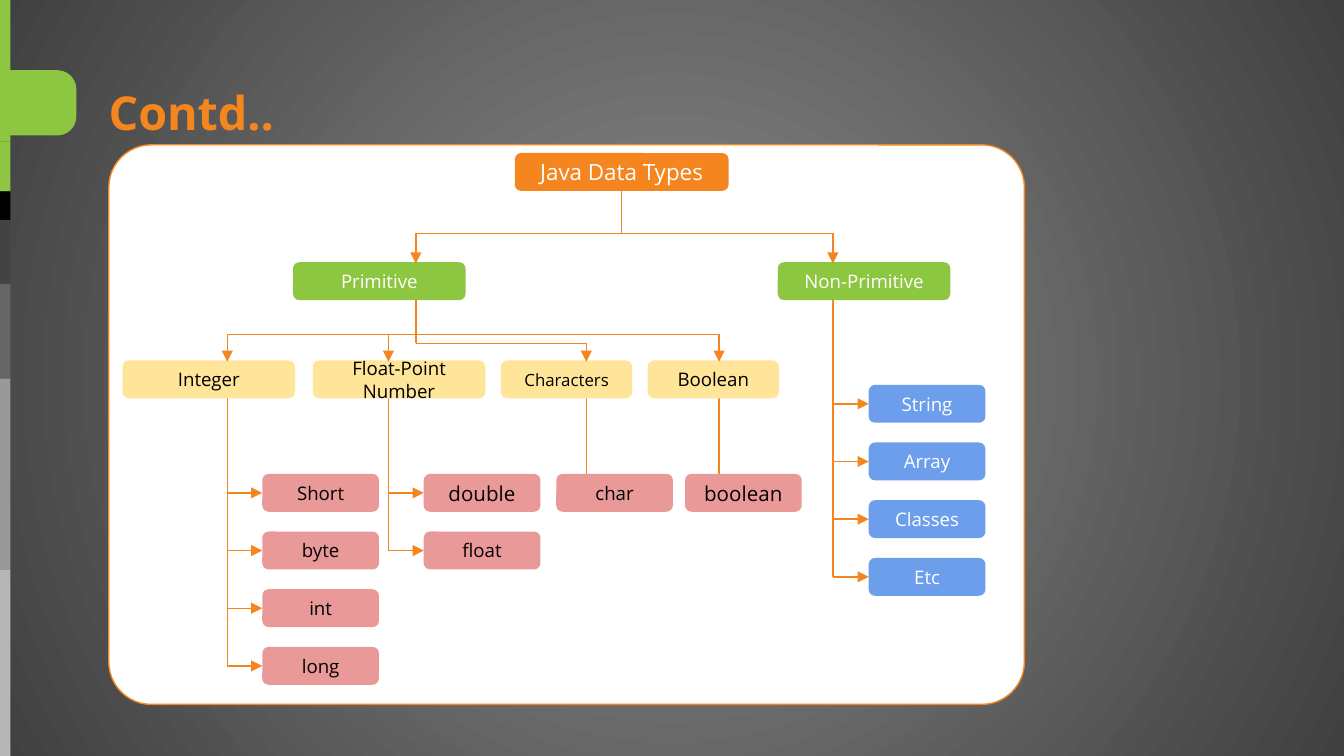
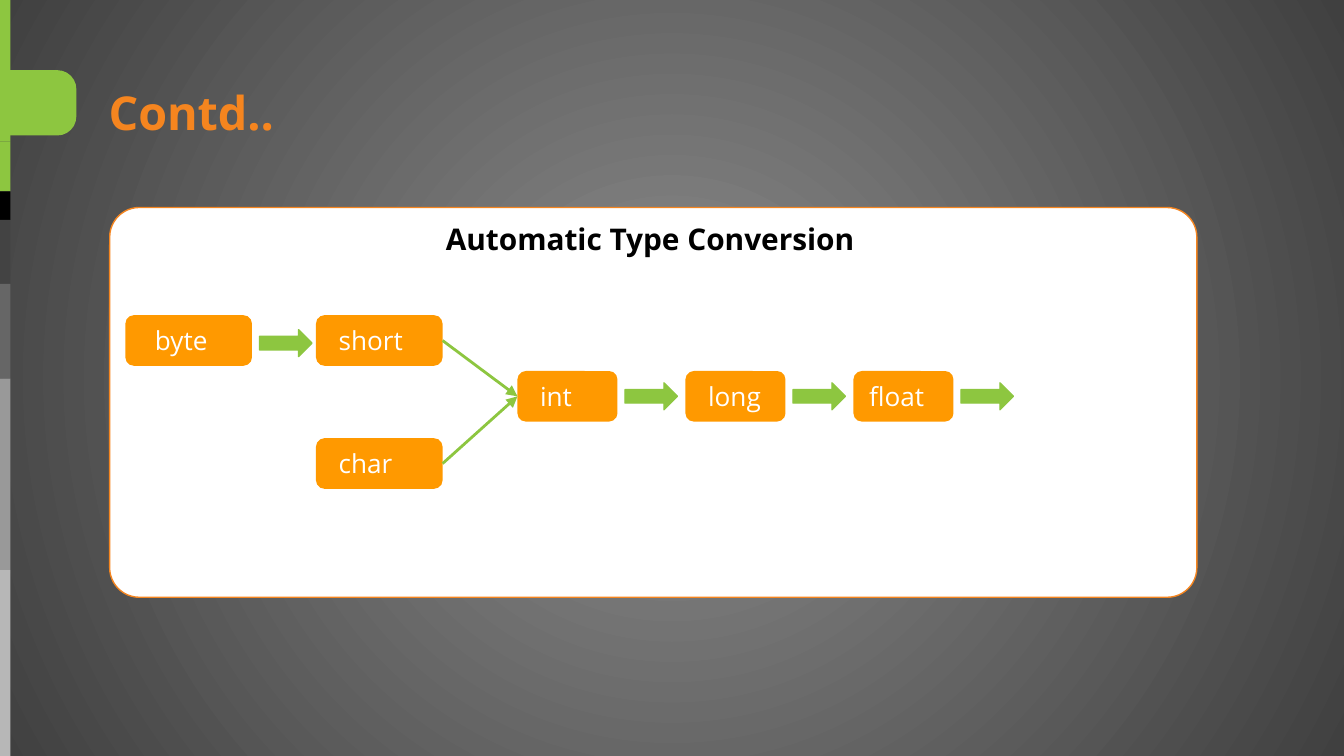
"""Builds two slides on Java data types and automatic type conversion."""
import dataclasses
import itertools
import typing

import lxml.etree
import pptx
import pptx.dml.color
import pptx.enum.shapes
import pptx.enum.text
import pptx.oxml.ns
import pptx.presentation
import pptx.shapes.autoshape
import pptx.slide
import pptx.util

Pt = pptx.util.Pt
RGB = pptx.dml.color.RGBColor.from_string
qn = pptx.oxml.ns.qn
SHAPE = pptx.enum.shapes.MSO_SHAPE
ALIGN = pptx.enum.text.PP_ALIGN
ANCHOR = pptx.enum.text.MSO_ANCHOR
AUTO = pptx.enum.text.MSO_AUTO_SIZE


@dataclasses.dataclass(frozen=True)
class Theme:
    font: str = "Open Sans"
    orange: str = "F5851F"
    amber: str = "FF9900"
    green: str = "8DC640"
    yellow: str = "FFE599"
    pink: str = "EA9999"
    blue: str = "6D9EEB"
    white: str = "FFFFFF"
    black: str = "000000"
    glow: tuple[str, str] = ("8C8C8C", "404040")
    bands: tuple[str, ...] = ("8DC640", "8DC640", "000000", "434343", "666666", "999999", "B7B7B7")
    title: float = 25
    heading: float = 16
    chain: float = 14
    root: float = 12
    large: float = 11
    body: float = 10
    small: float = 9
    hairline: float = 0.75
    stroke: float = 1.5


T = Theme()


class Box(typing.NamedTuple):
    x: float
    y: float
    w: float
    h: float


class Node(typing.NamedTuple):
    text: str
    box: Box
    fill: str
    color: str = T.white
    size: float = T.body
    align: ALIGN = ALIGN.CENTER
    indent: float = 0


class Leaf(typing.NamedTuple):
    text: str
    size: float = T.body


class Branch(typing.NamedTuple):
    node: Node
    stem_x: float
    rail_y: float
    leaf_x: float
    leaf_y: float
    leaf_fill: str
    leaf_color: str
    leaves: tuple[Leaf, ...]
    side_arrows: bool = True


SLIDE_W, SLIDE_H = 720, 405
BAND_W = 5.6
BAND_EDGES = (0, 75.7, 102.6, 117.8, 152.1, 202.9, 305.4, SLIDE_H)
INSET = 7.2

NODE_H = 20.3
LEAF_W, LEAF_PITCH = 62.5, 30.9
CATEGORY_Y, GROUP_Y, ROOT_Y = 193.1, 140.5, 82
GROUP_RAIL_Y, CATEGORY_RAIL_Y, CHARACTER_RAIL_Y = 125, 179.2, 184
PRIMITIVE_X, OBJECT_X = 222.8, 446.2

ROOT = Node("Java Data Types", Box(275.8, ROOT_Y, 114.5, NODE_H), T.orange, size=T.root)
PRIMITIVE = Node("Primitive", Box(157, GROUP_Y, 92.4, NODE_H), T.green)


def category(text: str, x: float, w: float, size: float = T.body) -> Node:
    """Return a node of the primitive category row."""
    return Node(text, Box(x, CATEGORY_Y, w, NODE_H), T.yellow, T.black, size)


OBJECTS = Branch(Node("Non-Primitive", Box(416.7, GROUP_Y, 92.4, NODE_H), T.green), OBJECT_X,
                 GROUP_RAIL_Y, 465.4, 206.2, T.blue, T.white,
                 (Leaf("String"), Leaf("Array"), Leaf("Classes"), Leaf("Etc")))
LEAF_STYLE = (253.9, T.pink, T.black)
CATEGORIES = (
    Branch(category("Integer", 65.7, 92.4), 121.8, CATEGORY_RAIL_Y, 140.5, *LEAF_STYLE,
           (Leaf("Short"), Leaf("byte"), Leaf("int"), Leaf("long"))),
    Branch(category("Float-Point Number", 167.6, 92.4), 208.1, CATEGORY_RAIL_Y, 227, *LEAF_STYLE,
           (Leaf("double", T.large), Leaf("float"))),
    Branch(category("Characters", 268.4, 70.3, T.small), 314.1, CHARACTER_RAIL_Y, 298, *LEAF_STYLE,
           (Leaf("char"),), False),
    Branch(category("Boolean", 347, 70.3), 385.2, CATEGORY_RAIL_Y, 367, *LEAF_STYLE,
           (Leaf("boolean", T.large),), False),
)

CHAIN_H, CHAIN_Y, BYTE_Y, CHAR_Y = 27.1, 198.8, 168.9, 234.8
WIDE_W, NARROW_W = 67.8, 53.6
CHAIN_X, CHAIN_PITCH = 277.2, 90
SPACE = 3.64
ARROW_GAP, ARROW_W, ARROW_H = 4, 28.1, 14.4


def assign(obj: typing.Any, values: dict[str, typing.Any]) -> None:
    """Set each named attribute on an object."""
    for name, value in values.items():
        setattr(obj, name, value)


def add_shape(s: pptx.slide.Slide, kind: SHAPE, box: Box, fill: str, line: str | None = None,
              adj: tuple[float, ...] = ()) -> pptx.shapes.autoshape.Shape:
    """Draw a flat preset shape."""
    sp = s.shapes.add_shape(kind, *map(Pt, box))
    sp.shadow.inherit = False
    sp.fill.solid()
    sp.fill.fore_color.rgb = RGB(fill)
    if line:
        sp.line.color.rgb = RGB(line)
        sp.line.width = Pt(T.hairline)
    else:
        sp.line.fill.background()
    for i, value in enumerate(adj):
        sp.adjustments[i] = value
    return sp


def write(sp: pptx.shapes.autoshape.Shape, text: str, size: float, color: str, bold: bool = False,
          indent: float = 0, frame: dict[str, typing.Any] | None = None,
          para: dict[str, typing.Any] | None = None) -> None:
    """Put one formatted paragraph into a shape."""
    tf = sp.text_frame
    sides = {f"margin_{side}": Pt(INSET) for side in ("left", "top", "right", "bottom")}
    assign(tf, {"word_wrap": True, **sides, "margin_left": Pt(INSET + indent), **(frame or {})})
    p = tf.paragraphs[0]
    assign(p, para or {})
    r = p.add_run()
    r.text = text
    assign(r.font, {"name": T.font, "size": Pt(size), "bold": bold})
    r.font.color.rgb = RGB(color)


def add_label(s: pptx.slide.Slide, text: str, box: Box, size: float, color: str,
              para: dict[str, typing.Any] | None = None) -> None:
    """Draw a bold text box that grows with its text."""
    sp = s.shapes.add_textbox(*map(Pt, box))
    write(sp, text, size, color, bold=True, frame={"auto_size": AUTO.SHAPE_TO_FIT_TEXT}, para=para)


def add_node(s: pptx.slide.Slide, node: Node) -> None:
    """Draw a rounded box with its caption."""
    sp = add_shape(s, SHAPE.ROUNDED_RECTANGLE, node.box, node.fill, adj=(0.167,))
    write(sp, node.text, node.size, node.color, indent=node.indent,
          frame={"vertical_anchor": ANCHOR.MIDDLE}, para={"alignment": node.align})


def add_line(s: pptx.slide.Slide, x1: float, y1: float, x2: float, y2: float, arrow: bool = False,
             color: str = T.orange, width: float = T.hairline) -> None:
    """Draw a straight line, with an arrowhead at its end if asked."""
    cx = s.shapes.add_connector(pptx.enum.shapes.MSO_CONNECTOR.STRAIGHT, *map(Pt, (x1, y1, x2, y2)))
    cx.line.color.rgb = RGB(color)
    cx.line.width = Pt(width)
    sp_pr = cx.element.find(qn("p:spPr"))
    if arrow:
        lxml.etree.SubElement(sp_pr.find(qn("a:ln")), qn("a:tailEnd"), type="triangle")
    lxml.etree.SubElement(sp_pr, qn("a:effectLst"))


def add_background(s: pptx.slide.Slide) -> None:
    """Fill the slide with a gradient glowing from its centre."""
    fill = s.background.fill
    fill.gradient()
    for stop, color, position in zip(fill.gradient_stops, T.glow, (0, 1)):
        stop.color.rgb = RGB(color)
        stop.position = position
    grad = next(s.element.iter(qn("a:gradFill")))
    grad.remove(grad.find(qn("a:lin")))
    circle = lxml.etree.SubElement(grad, qn("a:path"), path="circle")
    lxml.etree.SubElement(circle, qn("a:fillToRect"), dict.fromkeys("ltrb", "50000"))


def add_page(prs: pptx.presentation.Presentation, panel: Box) -> pptx.slide.Slide:
    """Add a slide with the side bands, title and white panel."""
    s = prs.slides.add_slide(prs.slide_layouts[6])
    add_background(s)
    for (top, bottom), color in zip(itertools.pairwise(BAND_EDGES), T.bands):
        add_shape(s, SHAPE.RECTANGLE, Box(0, top, BAND_W, bottom - top), color)
    tab = add_shape(s, SHAPE.ROUND_2_SAME_RECTANGLE, Box(2.9, 34.6, 35, 41), T.green, adj=(0.291, 0))
    tab.rotation = 90
    add_label(s, "Contd..", Box(51.1, 33.1, 563.8, 44.6), T.title, T.orange, {"line_spacing": 1.15})
    add_shape(s, SHAPE.ROUNDED_RECTANGLE, panel, T.white, T.orange, (0.076,))
    return s


def add_branch(s: pptx.slide.Slide, branch: Branch) -> None:
    """Draw a category with its stem, arrows and leaves."""
    x, box = branch.stem_x, branch.node.box
    tops = [branch.leaf_y + i * LEAF_PITCH for i in range(len(branch.leaves))]
    stem_end = tops[-1] + NODE_H / 2 if branch.side_arrows else tops[0]
    add_line(s, x, box.y + NODE_H / 2, x, stem_end)
    for leaf, top in zip(branch.leaves, tops):
        add_node(s, Node(leaf.text, Box(branch.leaf_x, top, LEAF_W, NODE_H), branch.leaf_fill,
                         branch.leaf_color, leaf.size))
        if branch.side_arrows:
            add_line(s, x, top + NODE_H / 2, branch.leaf_x, top + NODE_H / 2, True)
    add_node(s, branch.node)
    add_line(s, x, branch.rail_y, x, box.y + 0.7, True)


def build_data_types(prs: pptx.presentation.Presentation) -> None:
    """Build the tree of data types."""
    s = add_page(prs, Box(58.3, 77.6, 490.5, 299.8))
    root_x = ROOT.box.x + ROOT.box.w / 2
    add_line(s, root_x, ROOT_Y + NODE_H, root_x, GROUP_RAIL_Y)
    add_line(s, PRIMITIVE_X, GROUP_RAIL_Y, OBJECT_X, GROUP_RAIL_Y)
    add_line(s, PRIMITIVE_X, GROUP_Y + NODE_H / 2, PRIMITIVE_X, CHARACTER_RAIL_Y)
    add_line(s, PRIMITIVE_X, CHARACTER_RAIL_Y, CATEGORIES[2].stem_x, CHARACTER_RAIL_Y)
    add_line(s, CATEGORIES[0].stem_x, CATEGORY_RAIL_Y, CATEGORIES[-1].stem_x, CATEGORY_RAIL_Y)
    add_node(s, ROOT)
    add_node(s, PRIMITIVE)
    add_line(s, PRIMITIVE_X, GROUP_RAIL_Y, PRIMITIVE_X, GROUP_Y + 0.7, True)
    for branch in (OBJECTS, *CATEGORIES):
        add_branch(s, branch)


def chain_node(text: str, x: float, y: float, w: float, indent: float = SPACE) -> Node:
    """Return a box of the conversion chain."""
    return Node(text, Box(x, y, w, CHAIN_H), T.amber, size=T.chain, align=ALIGN.LEFT, indent=indent)


def add_block_arrow(s: pptx.slide.Slide, after: Box, drop: float = 0) -> None:
    """Draw a block arrow to the right of a box."""
    top = after.y + (CHAIN_H - ARROW_H) / 2 + drop
    box = Box(after.x + after.w + ARROW_GAP, top, ARROW_W, ARROW_H)
    add_shape(s, SHAPE.RIGHT_ARROW, box, T.green, T.green, (0.5, 0.5))


def build_conversion(prs: pptx.presentation.Presentation) -> None:
    """Build the chain of automatic conversions."""
    s = add_page(prs, Box(58.8, 111.2, 582.4, 208.8))
    add_label(s, "Automatic Type Conversion", Box(231.8, 110.9, 238.3, 33.8), T.heading, T.black)
    byte = chain_node("byte", 67.2, BYTE_Y, WIDE_W, 2 * SPACE)
    sources = [chain_node(text, 169.3, y, WIDE_W) for text, y in (("short", BYTE_Y), ("char", CHAR_Y))]
    chain = [chain_node(text, CHAIN_X + i * CHAIN_PITCH, CHAIN_Y, NARROW_W, indent)
             for i, (text, indent) in enumerate((("int", SPACE), ("long", SPACE), ("float", 0)))]
    for node in (byte, *sources, *chain):
        add_node(s, node)
    for node in sources:
        add_line(s, node.box.x + WIDE_W, node.box.y + CHAIN_H / 2, CHAIN_X, CHAIN_Y + CHAIN_H / 2,
                 True, T.green, T.stroke)
    add_block_arrow(s, byte.box, 1.4)
    for node in chain:
        add_block_arrow(s, node.box)


def main() -> None:
    """Create and save the presentation."""
    prs = pptx.Presentation()
    assign(prs, {"slide_width": Pt(SLIDE_W), "slide_height": Pt(SLIDE_H)})
    build_data_types(prs)
    build_conversion(prs)
    prs.save("out.pptx")


if __name__ == "__main__":
    main()
